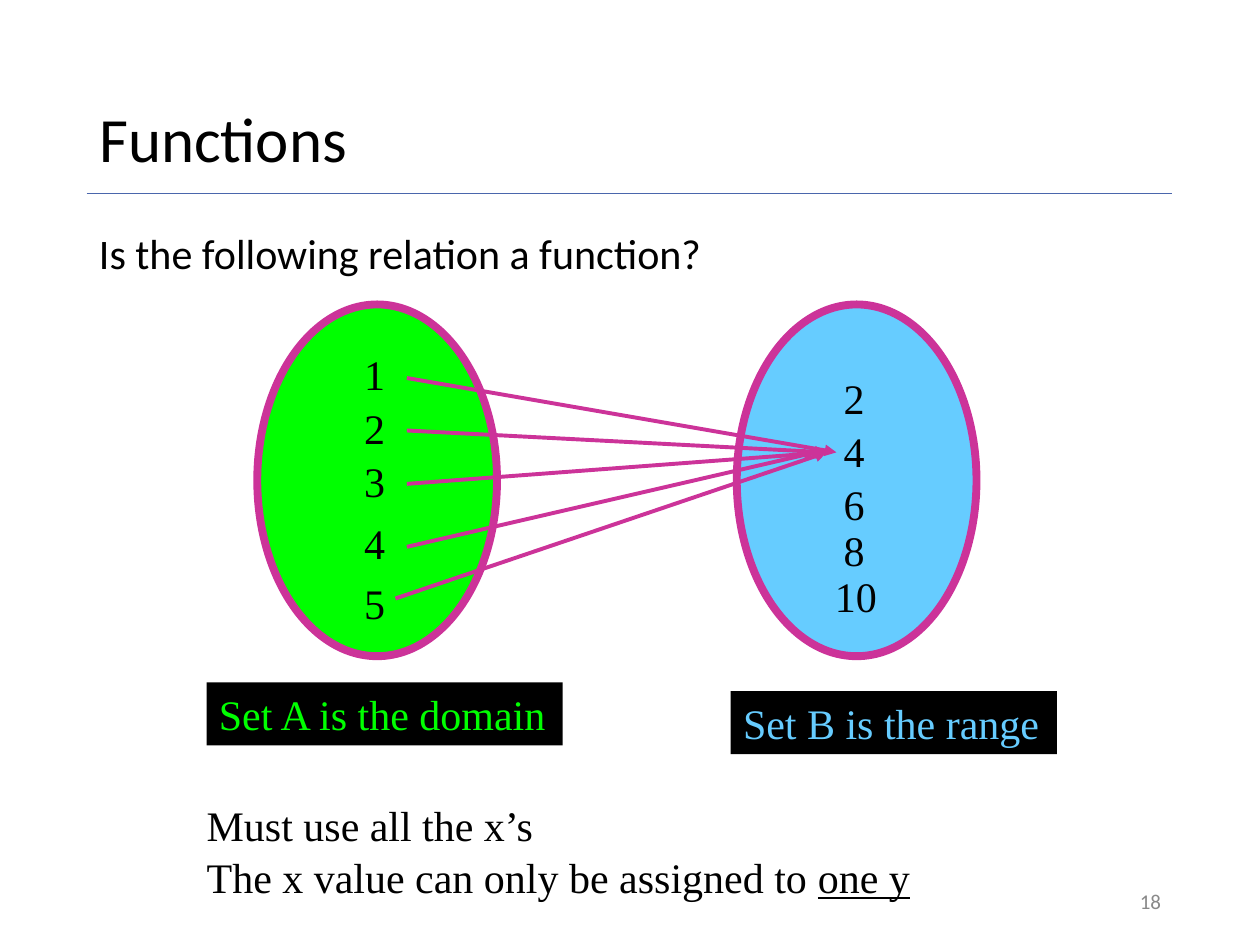
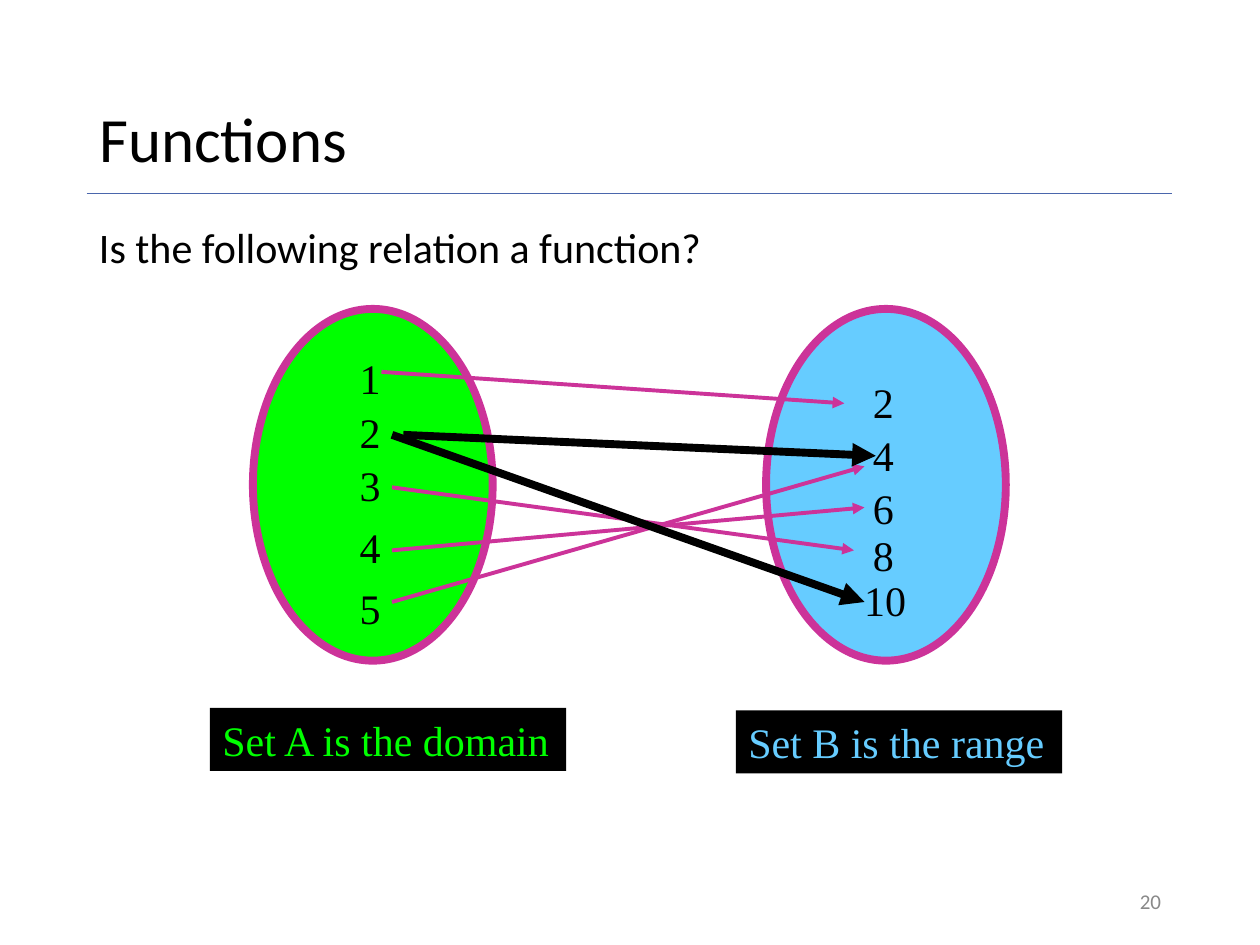
import pptx
import pptx.dml.color
import pptx.enum.shapes
import pptx.enum.text
import pptx.oxml.ns
import pptx.util
from lxml import etree

Pt = pptx.util.Pt
SHAPES = pptx.enum.shapes.MSO_SHAPE
ALIGN = pptx.enum.text.PP_ALIGN
ANCHOR = pptx.enum.text.MSO_ANCHOR

COLORS = {
    "text": "000000",
    "rule": "4A66AC",
    "page": "898989",
    "domain": "00FF00",
    "range": "66CCFF",
    "outline": "CC3399",
    "arrow": "CC3399",
    "conflict": "000000",
    "label": "000000",
}
COLORS = {name: pptx.dml.color.RGBColor.from_string(value) for name, value in COLORS.items()}
SANS, SERIF = "Calibri", "Times New Roman"

# The two sets: label, label width, and each member with its offset from the oval's top
OVAL_WIDTH, OVAL_HEIGHT = 137, 201
SETS = {
    "domain": ("Set A is the domain", 203.5,
               [("1", 21.6), ("2", 52.2), ("3", 82.8), ("4", 118), ("5", 152.6)]),
    "range": ("Set B is the range", 186.5,
              [("2", 35.3), ("4", 65.5), ("6", 95.8), ("8", 122.4), ("10", 148.3)]),
}

# Arrows are (start x, start y, end x, end y, color, width)
SLIDES = [
    {
        "page": "18",
        "question_top": 129.6,
        "ovals": {"domain": (147, 174), "range": (421, 174)},
        "labels": {"domain": (118, 390), "range": (417.5, 395)},
        "arrows": [
            (232.5, 216, 478, 258.5, "arrow", 2.25),
            (232.5, 312.5, 466, 258.5, "arrow", 2.25),
            (232.5, 246, 472.5, 258.5, "arrow", 2.25),
            (226, 342, 472.5, 258.5, "arrow", 2.25),
            (232.5, 276.5, 472.5, 258.5, "arrow", 2.25),
        ],
        "notes": [(453.5, 216, ["Must use all the x’s"]),
                  (483, 458.5, ["The x value can only be assigned to ", "one y"])],
    },
    {
        "page": "20",
        "question_top": 126,
        "ovals": {"domain": (144.5, 176.5), "range": (437.75, 176.5)},
        "labels": {"domain": (120, 404.5), "range": (420.5, 406)},
        "arrows": [
            (218, 212.5, 482.5, 230.5, "arrow", 2.25),
            (224, 278.5, 488, 314.5, "arrow", 2.25),
            (224, 314.5, 494, 290, "arrow", 2.25),
            (224, 344, 494, 266.5, "arrow", 2.25),
            (230.5, 248.5, 500.5, 260.5, "conflict", 4.5),
            (224, 248.5, 494, 344, "conflict", 4.5),
        ],
        "notes": [],
    },
]


def add_text(slide, text, left, top, width, height, font=SERIF, size=24, color="text"):
    """Add a wrapping text box and return it."""
    box = slide.shapes.add_textbox(Pt(left), Pt(top), Pt(width), Pt(height))
    box.text_frame.word_wrap = True
    box.text_frame.text = text
    run_font = box.text_frame.paragraphs[0].runs[0].font
    run_font.name, run_font.size = font, Pt(size)
    run_font.color.rgb = COLORS[color]
    return box


def add_line(slide, start_x, start_y, end_x, end_y, color, width, arrowhead=True):
    """Add a straight line without shadow, with an optional arrowhead."""
    line = slide.shapes.add_connector(
        pptx.enum.shapes.MSO_CONNECTOR.STRAIGHT, Pt(start_x), Pt(start_y), Pt(end_x), Pt(end_y))
    line.line.color.rgb = COLORS[color]
    line.line.width = Pt(width)
    if arrowhead:
        etree.SubElement(line.line._get_or_add_ln(), pptx.oxml.ns.qn("a:tailEnd"), type="triangle")
    etree.SubElement(line._element.spPr, pptx.oxml.ns.qn("a:effectLst"))


presentation = pptx.Presentation()
presentation.slide_width, presentation.slide_height = Pt(720), Pt(540)
title_only = presentation.slide_layouts[5]

for content in SLIDES:
    slide = presentation.slides.add_slide(title_only)

    # Title and the rule below it
    add_line(slide, 49.5, 110.75, 669.5, 110.75, "rule", 0.5, arrowhead=False)
    title = slide.shapes.title
    title.left, title.top, title.width, title.height = Pt(49.5), Pt(28.75), Pt(621), Pt(104.5)
    title.text_frame.text = "Functions"
    title.text_frame.vertical_anchor = ANCHOR.MIDDLE
    title.text_frame.auto_size = pptx.enum.text.MSO_AUTO_SIZE.NONE
    paragraph = title.text_frame.paragraphs[0]
    paragraph.alignment, paragraph.line_spacing = ALIGN.LEFT, 0.9
    title_font = paragraph.runs[0].font
    title_font.name, title_font.size = SANS, Pt(36)
    title_font.color.rgb = COLORS["text"]

    # Question
    question = add_text(slide, "Is the following relation a function?",
                        49.5, content["question_top"], 621, 342.5, SANS)
    question.text_frame.paragraphs[0].line_spacing = 0.9

    # Ovals with their members, and the label of each set
    for name, (label_text, label_width, members) in SETS.items():
        left, top = content["ovals"][name]
        oval = slide.shapes.add_shape(SHAPES.OVAL, Pt(left), Pt(top), Pt(OVAL_WIDTH), Pt(OVAL_HEIGHT))
        oval.shadow.inherit = False
        oval.fill.solid()
        oval.fill.fore_color.rgb = COLORS[name]
        oval.line.color.rgb = COLORS["outline"]
        oval.line.width = Pt(4.5)
        for member, offset in members:
            indent, width = (54, 24.5) if len(member) == 1 else (49, 39)
            add_text(slide, member, left + indent, top + offset, width, 36)
        label = add_text(slide, label_text, *content["labels"][name], label_width, 36, color=name)
        label.fill.solid()
        label.fill.fore_color.rgb = COLORS["label"]

    # Arrows from the domain to the range
    for arrow in content["arrows"]:
        add_line(slide, *arrow)

    # Rules for a function, with the key words underlined
    for top, width, parts in content["notes"]:
        note = add_text(slide, parts[0], 111, top, width, 36)
        for part in parts[1:]:
            run = note.text_frame.paragraphs[0].add_run()
            run.text = part
            run.font.name, run.font.size = SERIF, Pt(24)
            run.font.color.rgb = COLORS["text"]
            run.font.underline = True

    # Page number
    page = add_text(slide, content["page"], 508.5, 500.5, 162, 28.75, SANS, 12, "page")
    page.text_frame.vertical_anchor = ANCHOR.MIDDLE
    page.text_frame.paragraphs[0].alignment = ALIGN.RIGHT

presentation.save("out.pptx")
